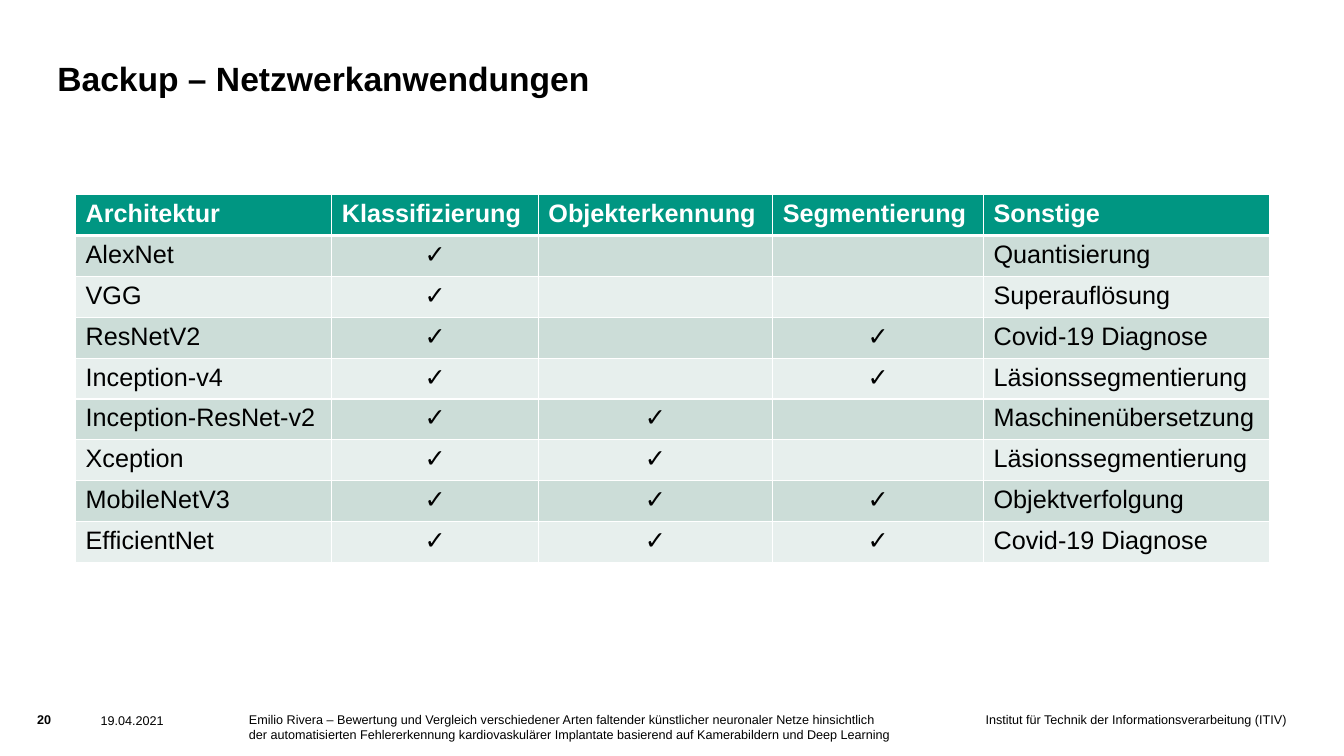
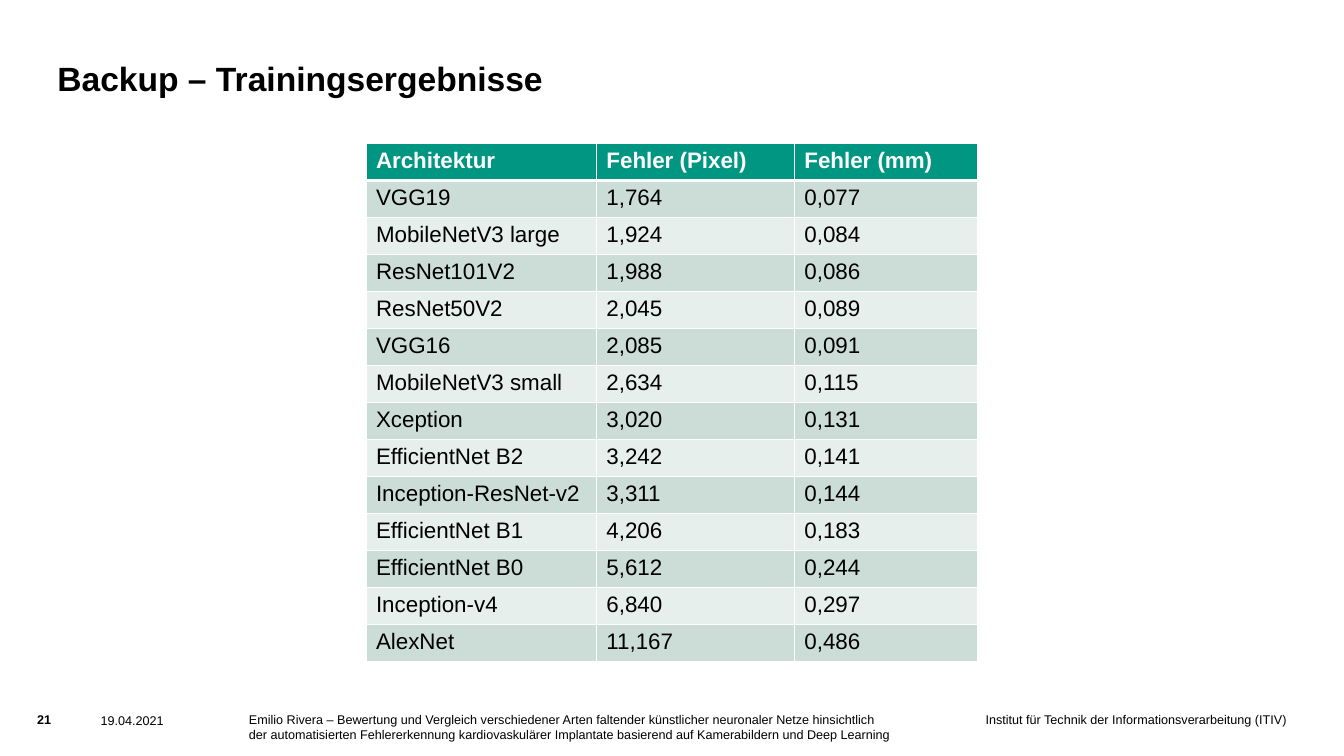
from lxml import etree
from pptx import Presentation
from pptx.dml.color import RGBColor
from pptx.enum import text
from pptx.oxml import ns
from pptx.util import Pt

FONT = "Arial"
BLACK = RGBColor(0x00, 0x00, 0x00)
WHITE = RGBColor(0xFF, 0xFF, 0xFF)
GREEN = RGBColor(0x00, 0x96, 0x82)
BANDS = [RGBColor(0xCC, 0xDD, 0xD8), RGBColor(0xE7, 0xEF, 0xED)]
LEFT, MID, RIGHT = text.PP_ALIGN.LEFT, text.PP_ALIGN.CENTER, text.PP_ALIGN.RIGHT
TOP, BOTTOM = text.MSO_ANCHOR.TOP, text.MSO_ANCHOR.BOTTOM

DATE = "19.04.2021"
CHAIR = "Institut für Technik der Informationsverarbeitung (ITIV)"
TOPIC = ("Emilio Rivera – Bewertung und Vergleich verschiedener Arten faltender "
         "künstlicher neuronaler Netze hinsichtlich der automatisierten "
         "Fehlererkennung kardiovaskulärer Implantate basierend auf "
         "Kamerabildern und Deep Learning")

YES = "✓"
USES = [
    ("Architektur", "Klassifizierung", "Objekterkennung", "Segmentierung", "Sonstige"),
    ("AlexNet", YES, "", "", "Quantisierung"),
    ("VGG", YES, "", "", "Superauflösung"),
    ("ResNetV2", YES, "", YES, "Covid-19 Diagnose"),
    ("Inception-v4", YES, "", YES, "Läsionssegmentierung"),
    ("Inception-ResNet-v2", YES, YES, "", "Maschinenübersetzung"),
    ("Xception", YES, YES, "", "Läsionssegmentierung"),
    ("MobileNetV3", YES, YES, YES, "Objektverfolgung"),
    ("EfficientNet", YES, YES, YES, "Covid-19 Diagnose"),
]
ERRORS = [
    ("Architektur", "Fehler (Pixel)", "Fehler (mm)"),
    ("VGG19", "1,764", "0,077"),
    ("MobileNetV3 large", "1,924", "0,084"),
    ("ResNet101V2", "1,988", "0,086"),
    ("ResNet50V2", "2,045", "0,089"),
    ("VGG16", "2,085", "0,091"),
    ("MobileNetV3 small", "2,634", "0,115"),
    ("Xception", "3,020", "0,131"),
    ("EfficientNet B2", "3,242", "0,141"),
    ("Inception-ResNet-v2", "3,311", "0,144"),
    ("EfficientNet B1", "4,206", "0,183"),
    ("EfficientNet B0", "5,612", "0,244"),
    ("Inception-v4", "6,840", "0,297"),
    ("AlexNet", "11,167", "0,486"),
]


def add_run(para, words, size, color=BLACK, bold=False):
    run = para.add_run()
    run.text = words
    font = run.font
    font.name, font.size, font.bold = FONT, Pt(size), bold
    font.color.rgb = color


def add_text(slide, box, words, size=9, bold=False, align=LEFT, anchor=TOP):
    frame = slide.shapes.add_textbox(*map(Pt, box)).text_frame
    frame.word_wrap = True
    frame.vertical_anchor = anchor
    frame.margin_left = frame.margin_right = 0
    frame.margin_top = frame.margin_bottom = 0
    para = frame.paragraphs[0]
    para.alignment = align
    add_run(para, words, size, bold=bold)


def add_edges(cell, row):
    """White rules, with a thick one below the header."""
    props = cell._tc.get_or_add_tcPr()
    for side in "LRTB":
        thick = (row, side) in ((0, "B"), (1, "T"))
        line = etree.SubElement(props, ns.qn(f"a:ln{side}"),
                                w=str(Pt(3 if thick else 1)))
        fill = etree.SubElement(line, ns.qn("a:solidFill"))
        etree.SubElement(fill, ns.qn("a:srgbClr"), val=str(WHITE))


def add_grid(slide, left, top, cols, high, size, rows):
    table = slide.shapes.add_table(
        len(rows), len(cols), Pt(left), Pt(top),
        Pt(sum(cols)), Pt(high * len(rows))).table
    for col, wide in zip(table.columns, cols):
        col.width = Pt(wide)
    for r, row in enumerate(rows):
        table.rows[r].height = Pt(high)
        head = r == 0
        for c, words in enumerate(row):
            cell = table.cell(r, c)
            add_edges(cell, r)
            cell.fill.solid()
            cell.fill.fore_color.rgb = GREEN if head else BANDS[(r - 1) % 2]
            para = cell.text_frame.paragraphs[0]
            para.font.size = Pt(size)
            if words:
                para.alignment = MID if words == YES else LEFT
                add_run(para, words, size, WHITE if head else BLACK, head)


def add_foot(slide, left, top, page):
    add_text(slide, (left, top, 34, 17), str(page), bold=True)
    add_text(slide, (left + 45.3, top + 0.7, 91, 9), DATE)
    add_text(slide, (left + 151.2, top, 461, 28), TOPIC)
    add_text(slide, (left + 590.3, top, 302, 28), CHAIR, align=RIGHT)


def add_page(deck, page, title, **grid):
    slide = deck.slides.add_slide(deck.slide_layouts[6])
    add_text(slide, (41, 26, 726, 44), title, 24, True, anchor=BOTTOM)
    add_grid(slide, **grid)
    add_foot(slide, 26.6, 508.3, page)


def main():
    deck = Presentation()
    deck.slide_width, deck.slide_height = Pt(960), Pt(540)
    # Network uses
    add_page(deck, 20, "Backup – Netzwerkanwendungen", left=54, top=139,
             cols=[183, 147.6, 167.4, 150.6, 204], high=29.2, size=18, rows=USES)
    # Training results
    add_page(deck, 21, "Backup – Trainingsergebnisse", left=261.4, top=102.5,
             cols=[164.6, 141.4, 131], high=25.3, size=16, rows=ERRORS)
    deck.save("out.pptx")


if __name__ == "__main__":
    main()
